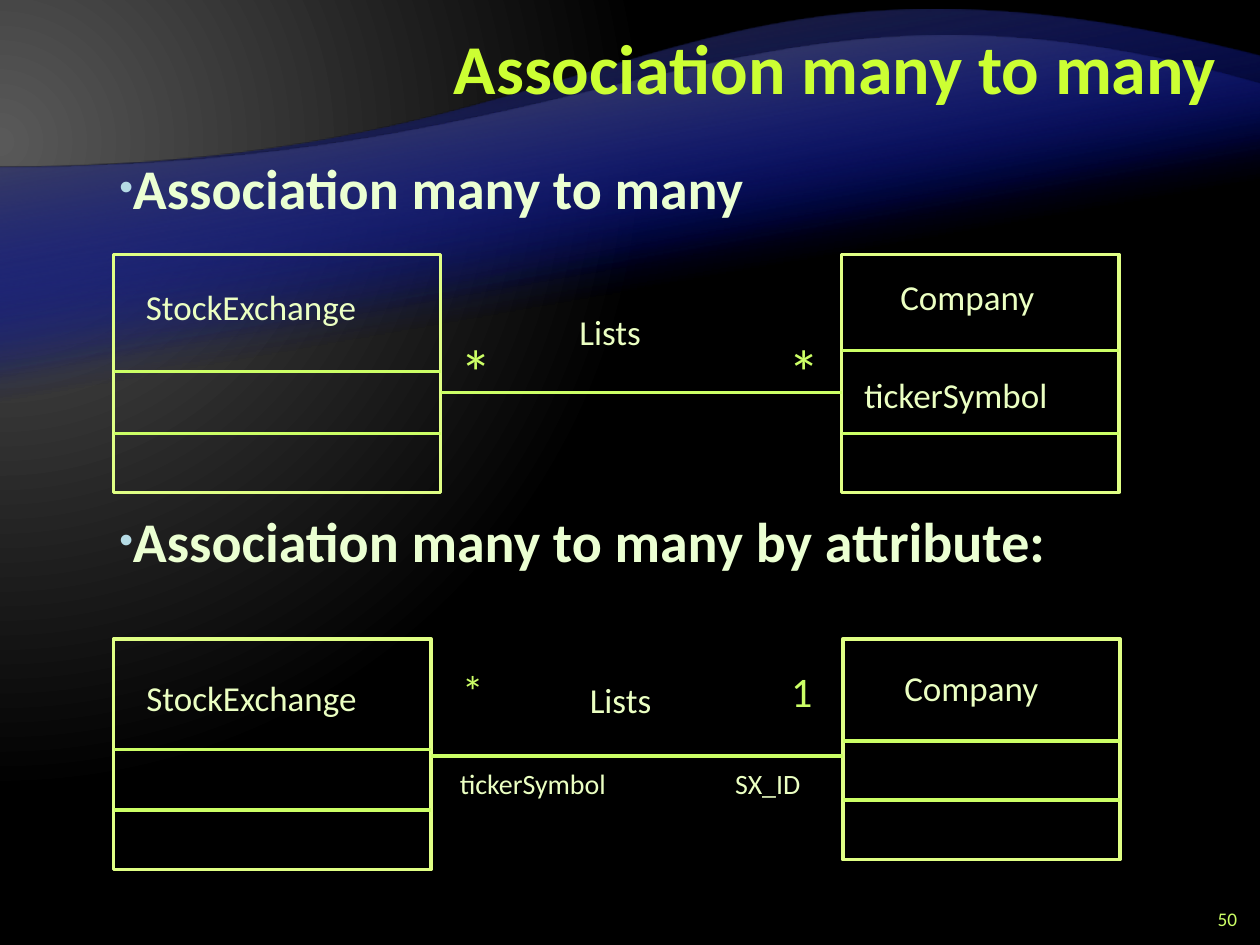
from lxml import etree
from pptx import Presentation
from pptx import util as u
from pptx.dml.color import RGBColor
from pptx.enum import shapes, text
from pptx.oxml import ns

THEME = {
    "font": "Calibri",
    "title": "CCFF33", "body": "EBFFD2", "bullet": "B5DBE5",
    "label": "EBFFC2", "accent": "CCFF66", "outline": "E0FF85",
    "glow": "595959", "night": "000000", "blue": "000D9E", "edge": "262626",
    "title_pt": 40, "body_pt": 32, "star_pt": 36, "small_star_pt": 25,
    "one_pt": 24, "label_pt": 20, "role_pt": 16, "number_pt": 11,
}
A = ns.nsdecls("a")


def add_run(p, words, size, color, bold=False):
    r = p.add_run()
    r.text = words
    r.font.name = THEME["font"]
    r.font.size = u.Pt(THEME[size])
    r.font.bold = bold
    r.font.color.rgb = RGBColor.from_string(THEME[color])


def gradient(stops, shade):
    """Return a gradFill element; stops are (percent, colour, alpha percent)."""
    gs = "".join(
        f'<a:gs pos="{pos * 1000}"><a:srgbClr val="{THEME[color]}">'
        f'<a:alpha val="{alpha * 1000}"/></a:srgbClr></a:gs>'
        for pos, color, alpha in stops)
    return etree.fromstring(
        f'<a:gradFill {A} rotWithShape="1"><a:gsLst>{gs}</a:gsLst>{shade}</a:gradFill>')


prs = Presentation()
prs.slide_width, prs.slide_height = u.Cm(25.4), u.Cm(19.05)
s = prs.slides.add_slide(prs.slide_layouts[1])
title, body = s.placeholders

# Background: a glow from the left edge
s.background.fill.solid()
solid = s.element.find(".//" + ns.qn("p:bgPr")).find(ns.qn("a:solidFill"))
solid.getparent().replace(solid, gradient(
    [(0, "glow", 100), (83, "night", 100)],
    '<a:path path="circle"><a:fillToRect l="20000" t="30000" r="135000" b="100000"/></a:path>'))

# Waves, drawn upside down and turned by 180 degrees, the pair laid twice:
# top, height, depth at the far end, the two curve handles, edge colour
waves = [
    (1.14, 15.45, 13.21, [(12.7, 13.21), (11.84, 18.49)], "edge"),
    (1.7, 12.45, 10.77, [(12.7, 10.77), (10.21, 15.39)], "glow"),
]
for top, height, depth, handles, color in waves * 2:
    fb = s.shapes.build_freeform(0, u.Cm(top))
    fb.add_line_segments([(u.Cm(x), u.Cm(top + y)) for x, y in
                          ((25.4, 0), (25.4, depth), (0, height))], close=True)
    sp = fb.convert_to_shape()
    end = sp.element.findall(".//" + ns.qn("a:lnTo"))[2]
    points = "".join(f'<a:pt x="{u.Cm(x)}" y="{u.Cm(y)}"/>' for x, y in handles + [(0, height)])
    end.getparent().replace(end, etree.fromstring(f"<a:cubicBezTo {A}>{points}</a:cubicBezTo>"))
    sp.rotation = 180
    sp.shadow.inherit = False
    sp.line.fill.background()
    sp.fill.solid()
    solid = sp.element.spPr.find(ns.qn("a:solidFill"))
    solid.getparent().replace(solid, gradient(
        [(65, "blue", 0), (100, color, 100)], f'<a:lin ang="{80 * 60000}" scaled="0"/>'))
    title.element.addprevious(sp.element)

# Title and list
title.left, title.top, title.width, title.height = map(u.Cm, (5.08, 0.22, 19.69, 2.54))
tf = title.text_frame
tf.auto_size = text.MSO_AUTO_SIZE.NONE
tf.vertical_anchor = text.MSO_ANCHOR.MIDDLE
p = tf.paragraphs[0]
p.alignment = text.PP_ALIGN.RIGHT
p.line_spacing = u.Pt(40)
add_run(p, "Association many to many", "title_pt", "title", bold=True)

body.left, body.top, body.width, body.height = map(u.Cm, (0.62, 2.97, 24.13, 15.67))
tf = body.text_frame
tf.auto_size = text.MSO_AUTO_SIZE.NONE
items = [("Association many to many", 0), ("Association many to many by attribute:", 157)]
for i, (words, before) in enumerate(items):
    p = tf.add_paragraph() if i else tf.paragraphs[0]
    p.space_before, p.space_after = u.Pt(before), u.Pt(6)
    pPr = p._p.get_or_add_pPr()
    pPr.set("marL", str(u.Cm(0.79)))
    pPr.set("indent", str(u.Cm(0.74)))
    for xml in (f'<a:buClr {A}><a:srgbClr val="{THEME["bullet"]}"/></a:buClr>',
                f'<a:buSzPct {A} val="70000"/>',
                f'<a:buFont {A} typeface="Arial"/>',
                f'<a:buChar {A} char="•"/>'):
        pPr.append(etree.fromstring(xml))
    add_run(p, words, "body_pt", "body", bold=True)

# Class boxes: left, top, width, height, divider heights, line width
classes = [
    (2.29, 5.13, 6.6, 4.8, (7.49, 8.74), 1.75),
    (16.97, 5.13, 5.59, 4.8, (7.06, 8.74), 1.75),
    (2.29, 12.88, 6.4, 4.65, (15.11, 16.33), 2),
    (16.99, 12.88, 5.59, 4.45, (14.94, 16.13), 2),
]
lines = [(8.89, 16.97, 7.92, 1.75), (8.69, 16.99, 15.24, 2)]  # the associations
for left, top, width, height, dividers, weight in classes:
    sp = s.shapes.add_shape(shapes.MSO_SHAPE.RECTANGLE, *map(u.Cm, (left, top, width, height)))
    sp.shadow.inherit = False
    sp.fill.background()
    sp.line.color.rgb = RGBColor.from_string(THEME["outline"])
    sp.line.width = u.Pt(weight)
    lines += [(left, left + width, y, weight) for y in dividers]

for x1, x2, y, weight in lines:
    c = s.shapes.add_connector(shapes.MSO_CONNECTOR.STRAIGHT, *map(u.Cm, (x1, y, x2, y)))
    c.line.color.rgb = RGBColor.from_string(THEME["accent"])
    c.line.width = u.Pt(weight)
    c.element.spPr.append(etree.fromstring(f"<a:effectLst {A}/>"))

# Labels: words, left, top, width, height, size, colour
labels = [
    ("StockExchange", 2.69, 5.64, 5.77, 1.09, "label_pt", "label"),
    ("Company", 17.9, 5.42, 3.73, 1.09, "label_pt", "label"),
    ("tickerSymbol", 17.17, 7.4, 4.93, 1.09, "label_pt", "label"),
    ("Lists", 11.43, 6.14, 2.01, 1.09, "label_pt", "label"),
    ("*", 15.65, 6.58, 0.99, 1.78, "star_pt", "accent"),
    ("*", 9.03, 6.58, 0.99, 1.78, "star_pt", "accent"),
    ("StockExchange", 2.7, 13.51, 5.77, 1.09, "label_pt", "label"),
    ("Company", 17.98, 13.31, 3.73, 1.09, "label_pt", "label"),
    ("Lists", 11.64, 13.56, 2.01, 1.09, "label_pt", "label"),
    ("1", 15.7, 13.3, 0.97, 1.27, "one_pt", "accent"),
    ("*", 9.06, 13.26, 1.04, 1.93, "small_star_pt", "accent"),
    ("tickerSymbol", 9.02, 15.33, 4.09, 0.97, "role_pt", "label"),
    ("SX_ID", 14.57, 15.33, 2.16, 0.97, "role_pt", "label"),
    ("50", 23.92, 18.21, 1.27, 0.64, "number_pt", "accent"),
]
for words, left, top, width, height, size, color in labels:
    tf = s.shapes.add_textbox(*map(u.Cm, (left, top, width, height))).text_frame
    tf.word_wrap = False
    p = tf.paragraphs[0]
    if size == "number_pt":
        tf.word_wrap = True
        tf.vertical_anchor = text.MSO_ANCHOR.MIDDLE
        p.alignment = text.PP_ALIGN.RIGHT
    add_run(p, words, size, color)

prs.save("out.pptx")
